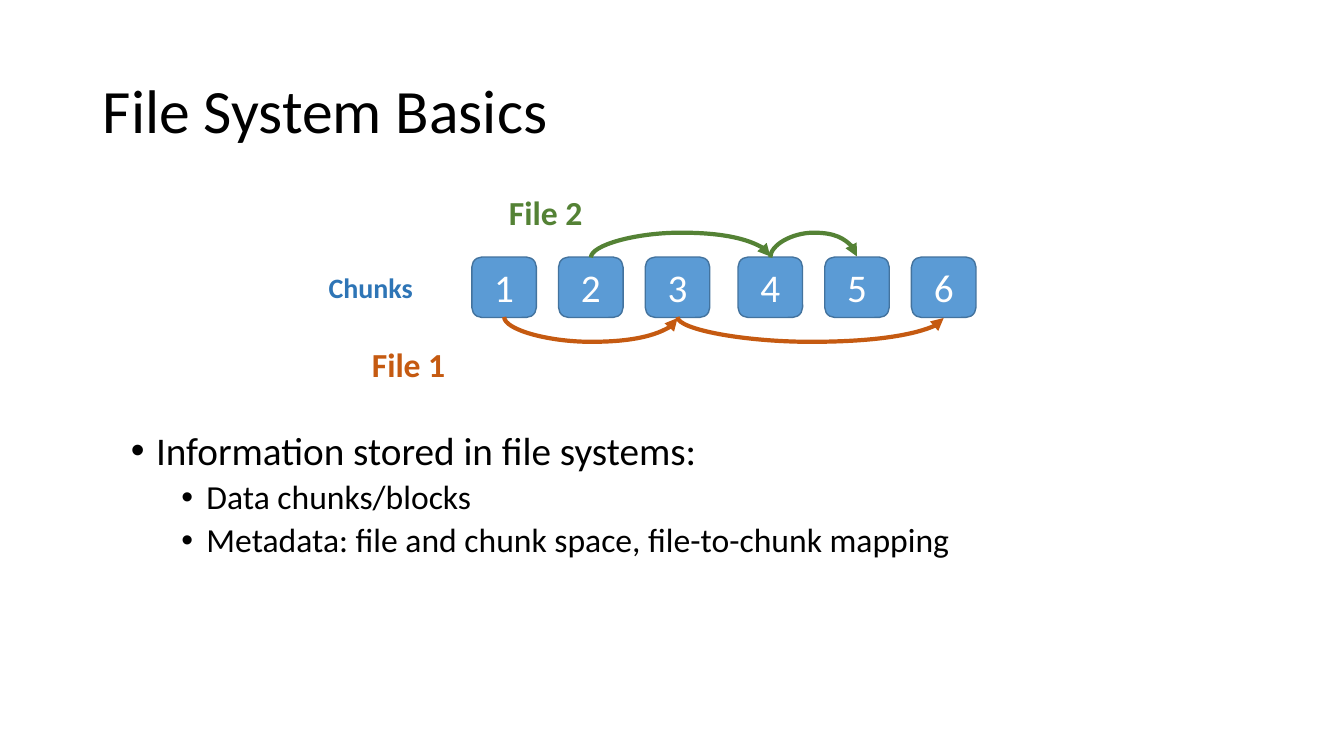
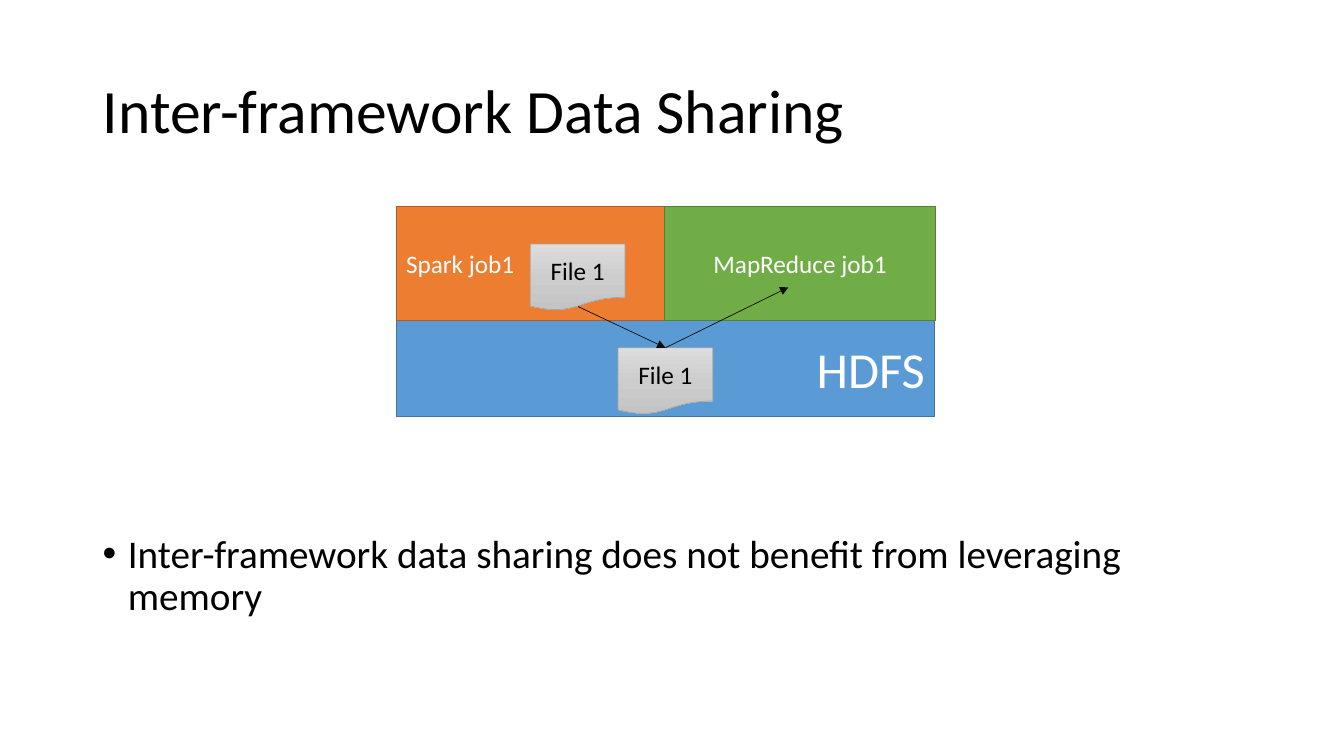
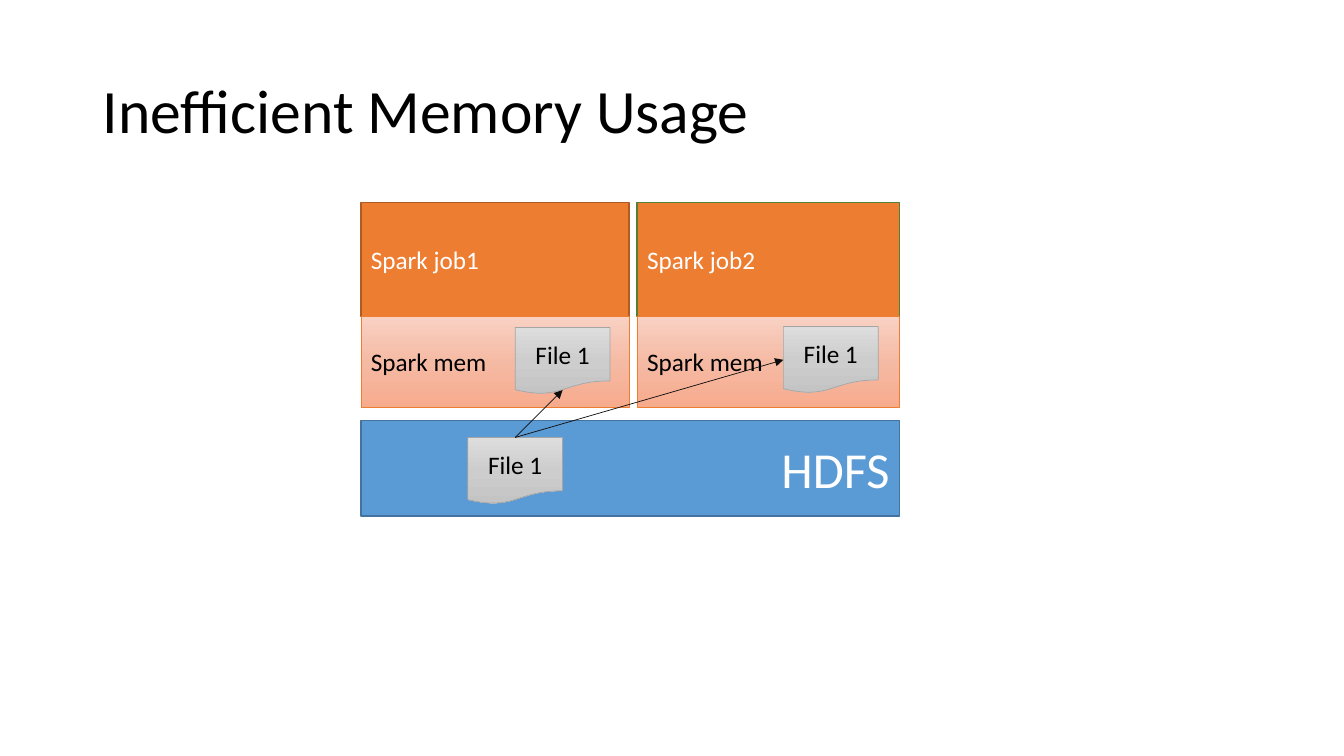
from dataclasses import dataclass
from typing import Optional, Union

from lxml.etree import SubElement
from pptx import Presentation
from pptx.dml.color import RGBColor
from pptx.enum.shapes import MSO_CONNECTOR as Connectors, MSO_SHAPE as Shapes
from pptx.enum.text import MSO_ANCHOR as Anchor, PP_ALIGN as Align
from pptx.oxml.ns import qn
from pptx.shapes.autoshape import Shape
from pptx.shapes.connector import Connector
from pptx.slide import Slide
from pptx.text.text import TextFrame
from pptx.util import Inches, Pt

FONT = "Calibri"
BLACK, WHITE, ARROW_INK = "000000", "FFFFFF", "0D0D0D"
BLUE, BLUE_EDGE, BLUE_TEXT = "5B9BD5", "43739E", "2E75B6"
ORANGE, ORANGE_EDGE, ORANGE_TEXT = "ED7D31", "AF5C24", "C55A11"
GREEN, GREEN_EDGE, GREEN_TEXT = "70AD47", "538035", "548235"
GREY_EDGE = "A5A5A5"
GREY_SHADES = ("DDDDDD", "CDCDCD", "C4C4C4")
PEACH_SHADES = ("F9D1C3", "F5BAA4", "F7AB8D")
TOP, LEFT, BOTTOM = 0, 1, 2
FILE_WIDTH, FILE_HEIGHT = 0.94, 0.66


@dataclass(frozen=True)
class Area:
    left: float
    top: float
    width: float
    height: float

    def lengths(self) -> tuple:
        return tuple(Inches(v) for v in (self.left, self.top, self.width, self.height))


@dataclass(frozen=True)
class Block:
    """A filled box; several fill colours make a top-to-bottom gradient."""
    area: Area
    text: str
    fill: Union[str, tuple]
    edge: str
    edge_width: float = 1
    size: int = 18
    color: str = WHITE
    align: Align = Align.LEFT
    kind: Shapes = Shapes.RECTANGLE


@dataclass(frozen=True)
class End:
    """An arrow's end, joined to a side of a shape if one is given."""
    x: float
    y: float
    shape: Optional[Shape] = None
    side: int = TOP


@dataclass(frozen=True)
class Bullet:
    text: str
    level: int = 0


def rgb(color: str) -> RGBColor:
    return RGBColor.from_string(color)


def write_text(frame: TextFrame, text: str, *, size: int, color: str = BLACK,
               bold: bool = False, align: Align = Align.LEFT,
               anchor: Anchor = Anchor.MIDDLE, wrap: bool = True,
               line_spacing: float = 1.0, new_para: bool = False):
    frame.word_wrap = wrap
    frame.vertical_anchor = anchor
    para = frame.add_paragraph() if new_para else frame.paragraphs[0]
    para.alignment = align
    para.line_spacing = line_spacing
    span = para.add_run()
    span.text = text
    font = span.font
    font.name, font.size, font.bold = FONT, Pt(size), bold
    font.color.rgb = rgb(color)
    return para


def add_titled_slide(deck, text: str) -> Slide:
    slide = deck.slides.add_slide(deck.slide_layouts[5])
    title = slide.shapes.title
    title.left, title.top, title.width, title.height = Area(0.92, 0.4, 11.5, 1.45).lengths()
    write_text(title.text_frame, text, size=44, line_spacing=0.9)
    return slide


def add_bullets(slide: Slide, area: Area, bullets: list[Bullet]) -> None:
    frame = slide.shapes.add_textbox(*area.lengths()).text_frame
    for index, bullet in enumerate(bullets):
        para = write_text(frame, bullet.text, size=24 if bullet.level else 28,
                          anchor=Anchor.TOP, line_spacing=0.9, new_para=index > 0)
        para.level = bullet.level
        para.space_before = Pt(5 if bullet.level else 10)
        properties = para._p.get_or_add_pPr()
        properties.set("marL", str(Inches(0.25 + 0.5 * bullet.level)))
        properties.set("indent", str(Inches(-0.25)))
        SubElement(properties, qn("a:buFont")).set("typeface", "Arial")
        SubElement(properties, qn("a:buChar")).set("char", "•")


def add_label(slide: Slide, area: Area, text: str, size: int, color: str) -> None:
    box = slide.shapes.add_textbox(*area.lengths())
    write_text(box.text_frame, text, size=size, color=color, bold=True,
               anchor=Anchor.TOP, wrap=False)


def fill_gradient(shape: Shape, colors: tuple) -> None:
    shape.fill.gradient()
    shape.fill.gradient_angle = 270
    stops = shape._element.spPr.find(qn("a:gradFill")).find(qn("a:gsLst"))
    for stop in list(stops):
        stops.remove(stop)
    for index, color in enumerate(colors):
        stop = SubElement(stops, qn("a:gs"))
        stop.set("pos", str(index * 100000 // (len(colors) - 1)))
        SubElement(stop, qn("a:srgbClr")).set("val", color)


def add_block(slide: Slide, block: Block) -> Shape:
    shape = slide.shapes.add_shape(block.kind, *block.area.lengths())
    shape.shadow.inherit = False
    if isinstance(block.fill, tuple):
        fill_gradient(shape, block.fill)
    else:
        shape.fill.solid()
        shape.fill.fore_color.rgb = rgb(block.fill)
    shape.line.color.rgb = rgb(block.edge)
    shape.line.width = Pt(block.edge_width)
    write_text(shape.text_frame, block.text, size=block.size, color=block.color,
               align=block.align)
    return shape


def add_file(slide: Slide, left: float, top: float) -> Shape:
    return add_block(slide, Block(
        Area(left, top, FILE_WIDTH, FILE_HEIGHT), "File 1", GREY_SHADES, GREY_EDGE, 0.5,
        color=BLACK, align=Align.CENTER, kind=Shapes.FLOWCHART_DOCUMENT))


def add_hdfs(slide: Slide, left: float, top: float) -> None:
    add_block(slide, Block(Area(left, top, 5.34, 0.95), "HDFS", BLUE, BLUE_EDGE,
                           size=36, align=Align.RIGHT))


def add_arrow(slide: Slide, start: End, end: End, color: str = ARROW_INK,
              width: float = 0.5, kind: Connectors = Connectors.STRAIGHT) -> Connector:
    arrow = slide.shapes.add_connector(
        kind, *(Inches(v) for v in (start.x, start.y, end.x, end.y)))
    if start.shape is not None:
        arrow.begin_connect(start.shape, start.side)
    if end.shape is not None:
        arrow.end_connect(end.shape, end.side)
    arrow.line.color.rgb = rgb(color)
    arrow.line.width = Pt(width)
    SubElement(arrow.line._get_or_add_ln(), qn("a:tailEnd")).set("type", "triangle")
    SubElement(arrow._element.spPr, qn("a:effectLst"))
    return arrow


def add_arc(slide: Slide, first: Shape, second: Shape, side: int, color: str) -> None:
    """Curve from one chunk to a later one, bulging away from the given side."""
    thickness, bulge = 0.01, 0.25
    start_x, end_x = ((s.left + s.width / 2) / Inches(1) for s in (first, second))
    y = (first.top + (first.height if side == BOTTOM else 0)) / Inches(1)
    arc = add_arrow(slide, End(start_x, y, first, side), End(end_x, y, second, side),
                    color, 3, Connectors.CURVE)
    span = end_x - start_x
    arc.left, arc.top, arc.width, arc.height = Area(
        (start_x + end_x - thickness) / 2, y - span / 2, thickness, span).lengths()
    properties = arc._element.spPr
    frame = properties.find(qn("a:xfrm"))
    frame.set("rot", str((270 if side == BOTTOM else 90) * 60000))
    frame.set("flipH", "1")
    frame.set("flipV", "0" if side == BOTTOM else "1")
    guide = SubElement(properties.find(qn("a:prstGeom")).find(qn("a:avLst")), qn("a:gd"))
    guide.set("name", "adj1")
    guide.set("fmla", f"val {round(bulge / thickness * 100000)}")


def build_basics(deck) -> None:
    slide = add_titled_slide(deck, "File System Basics")
    add_bullets(slide, Area(1.2, 4.23, 11, 2.19), [
        Bullet("Information stored in file systems:"),
        Bullet("Data chunks/blocks", 1),
        Bullet("Metadata: file and chunk space, file-to-chunk mapping", 1),
    ])
    add_label(slide, Area(3.59, 3.36, 0.94, 0.5), "File 1", 24, ORANGE_TEXT)
    add_label(slide, Area(4.95, 1.85, 0.94, 0.5), "File 2", 24, GREEN_TEXT)
    add_label(slide, Area(3.16, 2.63, 1.05, 0.44), "Chunks", 20, BLUE_TEXT)
    chunks = {}
    for number in range(1, 7):
        middle_gap = 0.06 if number > 3 else 0
        area = Area(4.68 + 0.86 * (number - 1) + middle_gap, 2.55, 0.64, 0.6)
        chunks[number] = add_block(slide, Block(
            area, str(number), BLUE, BLUE_EDGE, size=28, align=Align.CENTER,
            kind=Shapes.ROUNDED_RECTANGLE))
    for first, second, side, color in (
            (1, 3, BOTTOM, ORANGE_TEXT), (3, 6, BOTTOM, ORANGE_TEXT),
            (2, 4, TOP, GREEN_TEXT), (4, 5, TOP, GREEN_TEXT)):
        add_arc(slide, chunks[first], chunks[second], side, color)


def build_sharing(deck) -> None:
    slide = add_titled_slide(deck, "Inter-framework Data Sharing")
    add_bullets(slide, Area(0.92, 5.25, 11.5, 1.5), [
        Bullet("Inter-framework data sharing does not benefit from leveraging memory")])
    add_hdfs(slide, 3.93, 3.18)
    add_block(slide, Block(Area(3.93, 2.05, 2.66, 1.13), "Spark job1", ORANGE, ORANGE_EDGE))
    add_block(slide, Block(Area(6.59, 2.05, 2.69, 1.13), "MapReduce job1", GREEN,
                           GREEN_EDGE, align=Align.CENTER))
    stored_file = add_file(slide, 6.13, 3.45)
    stored_top = End(6.6, 3.45, stored_file)
    add_arrow(slide, End(5.73, 3.04), stored_top)
    add_arrow(slide, stored_top, End(7.82, 2.85))
    add_file(slide, 5.26, 2.42)


def build_memory(deck) -> None:
    slide = add_titled_slide(deck, "Inefficient Memory Usage")
    add_hdfs(slide, 3.58, 4.17)
    for job, left, width, edge in (("Spark job1", 3.58, 2.66, ORANGE_EDGE),
                                   ("Spark job2", 6.32, 2.6, GREEN_EDGE)):
        add_block(slide, Block(Area(left, 2.01, width, 1.13), job, ORANGE, edge))
        add_block(slide, Block(Area(left, 3.14, width, 0.9), "Spark mem", PEACH_SHADES,
                               ORANGE, 0.5, color=BLACK))
    stored_top = End(5.11, 4.34, add_file(slide, 4.64, 4.34))
    add_file(slide, 5.11, 3.25)
    second_copy = add_file(slide, 7.77, 3.24)
    add_arrow(slide, stored_top, End(5.58, 3.87))
    add_arrow(slide, stored_top, End(7.77, 3.57, second_copy, LEFT))


def main() -> None:
    deck = Presentation()
    deck.slide_width, deck.slide_height = Inches(13.33), Inches(7.5)
    build_basics(deck)
    build_sharing(deck)
    build_memory(deck)
    deck.save("out.pptx")


if __name__ == "__main__":
    main()
